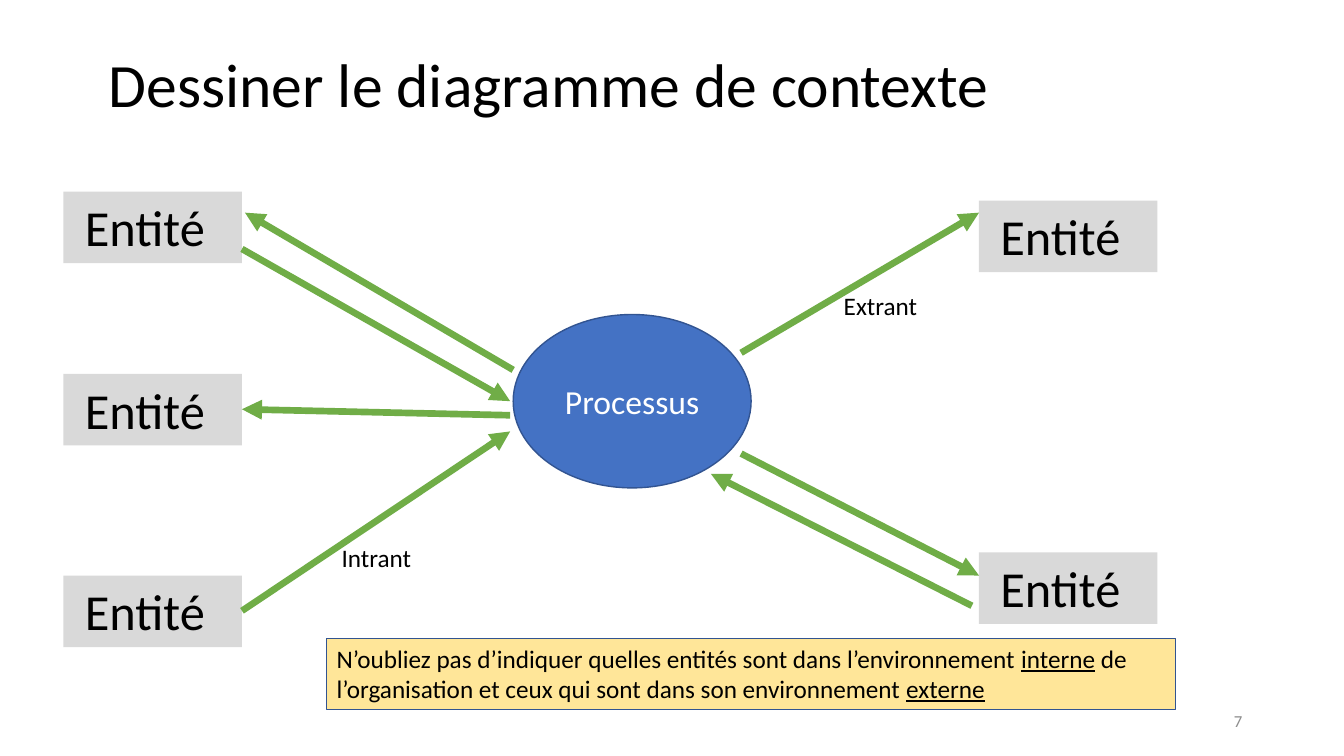
import pptx
import pptx.dml.color
import pptx.enum.shapes
import pptx.enum.text
import pptx.oxml
import pptx.oxml.ns
import pptx.util

RGBColor = pptx.dml.color.RGBColor
SHAPE = pptx.enum.shapes.MSO_SHAPE
ALIGN = pptx.enum.text.PP_ALIGN
ANCHOR = pptx.enum.text.MSO_ANCHOR

PX = 9144  # EMU in one px, 100 px to the inch
FONT = "Calibri"
BLACK = RGBColor(0x00, 0x00, 0x00)
WHITE = RGBColor(0xFF, 0xFF, 0xFF)
GREY = RGBColor(0x8C, 0x8C, 0x8C)
ENTITY_FILL = RGBColor(0xD9, 0xD9, 0xD9)
PROCESS_FILL = RGBColor(0x44, 0x72, 0xC4)
NOTE_FILL = RGBColor(0xFF, 0xE6, 0x99)
OUTLINE = RGBColor(0x32, 0x54, 0x91)
FLOW_GREEN = RGBColor(0x70, 0xAD, 0x47)

ENTITY_SIZE = (177, 71)
ENTITY_PLACES = [(0, 0), (0, 181), (0, 381), (908, 9), (908, 358)]
PROCESS_BOX = (446, 122, 236, 172)
FLOWS = [  # start and end; the arrowhead is at the end
    ((177, 57), (443, 208)),
    ((446, 177), (180, 21)),
    ((443, 222), (177, 216)),
    ((177, 416), (443, 238)),
    ((672, 160), (908, 21)),
    ((672, 260), (908, 381)),
    ((901, 411), (642, 280)),
]
FLOW_LABELS = [("Extrant", (764, 93, 94, 40)), ("Intrant", (266, 343, 90, 40))]


def scaled(lengths):
    return [pptx.util.Emu(length * PX) for length in lengths]


def write(shape, spans, size, color, align=ALIGN.LEFT, anchor=ANCHOR.TOP, wrap=True):
    """Fill a shape with one paragraph of (text, underlined) spans."""
    frame = shape.text_frame
    frame.word_wrap = wrap
    frame.vertical_anchor = anchor
    para = frame.paragraphs[0]
    para.alignment = align
    para.font.name = FONT
    para.font.size = pptx.util.Pt(size)
    para.font.color.rgb = color
    for text, underlined in spans:
        span = para.add_run()
        span.text = text
        if underlined:
            span.font.underline = True
    return para


def add_text(page, box, text, size, color, **layout):
    shape = page.shapes.add_textbox(*scaled(box))
    return write(shape, [(text, False)], size, color, **layout)


def add_block(page, kind, box, fill, line_width=0):
    shape = page.shapes.add_shape(kind, *scaled(box))
    shape.shadow.inherit = False
    shape.fill.solid()
    shape.fill.fore_color.rgb = fill
    if line_width:
        shape.line.color.rgb = OUTLINE
        shape.line.width = pptx.util.Pt(line_width)
    else:
        shape.line.fill.background()
    return shape


def add_flow(page, start, end):
    flow = page.shapes.add_connector(
        pptx.enum.shapes.MSO_CONNECTOR.STRAIGHT, *scaled(start + end))
    flow.line.color.rgb = FLOW_GREEN
    flow.line.width = pptx.util.Pt(4.75)
    head = pptx.oxml.parse_xml(
        '<a:tailEnd %s type="triangle"/>' % pptx.oxml.ns.nsdecls("a"))
    flow.line._get_or_add_ln().append(head)
    no_effect = pptx.oxml.parse_xml("<a:effectLst %s/>" % pptx.oxml.ns.nsdecls("a"))
    flow._element.spPr.append(no_effect)


def add_title(page, box):
    para = add_text(page, box, "Dessiner le diagramme de contexte", 44, BLACK,
                    anchor=ANCHOR.MIDDLE)
    para.line_spacing = 0.9


def add_diagram(page, left, top):
    # Entities
    for x, y in ENTITY_PLACES:
        entity = add_block(page, SHAPE.RECTANGLE,
                           (left + x, top + y) + ENTITY_SIZE, ENTITY_FILL)
        write(entity, [(" Entité", False)], 36, BLACK)

    # Flows and their labels
    for (x1, y1), (x2, y2) in FLOWS:
        add_flow(page, (left + x1, top + y1), (left + x2, top + y2))
    for label, (x, y, width, height) in FLOW_LABELS:
        add_text(page, (left + x, top + y, width, height), label, 18, BLACK, wrap=False)

    # Central process
    x, y, width, height = PROCESS_BOX
    process = add_block(page, SHAPE.OVAL, (left + x, top + y, width, height),
                        PROCESS_FILL, 1)
    write(process, [("Processus", False)], 24, WHITE,
          align=ALIGN.CENTER, anchor=ANCHOR.MIDDLE)


def add_reminder(page, box):
    reminder = add_block(page, SHAPE.RECTANGLE, box, NOTE_FILL, 0.75)
    write(reminder, [
        ("N’oubliez pas d’indiquer quelles entités sont dans l’environnement ", False),
        ("interne", True),
        (" de l’organisation et ceux qui sont dans son environnement ", False),
        ("externe", True),
    ], 18, BLACK)


def add_page_number(page, box):
    add_text(page, box, "7", 12, GREY, align=ALIGN.RIGHT, anchor=ANCHOR.MIDDLE)


def main():
    deck = pptx.Presentation()
    deck.slide_width, deck.slide_height = scaled((1333, 750))
    page = deck.slides.add_slide(deck.slide_layouts[6])
    add_title(page, (98, 34, 1138, 105))
    add_diagram(page, 63, 190)
    add_page_number(page, (942, 695, 300, 40))
    add_reminder(page, (324, 633, 842, 71))
    deck.save("out.pptx")


if __name__ == "__main__":
    main()
